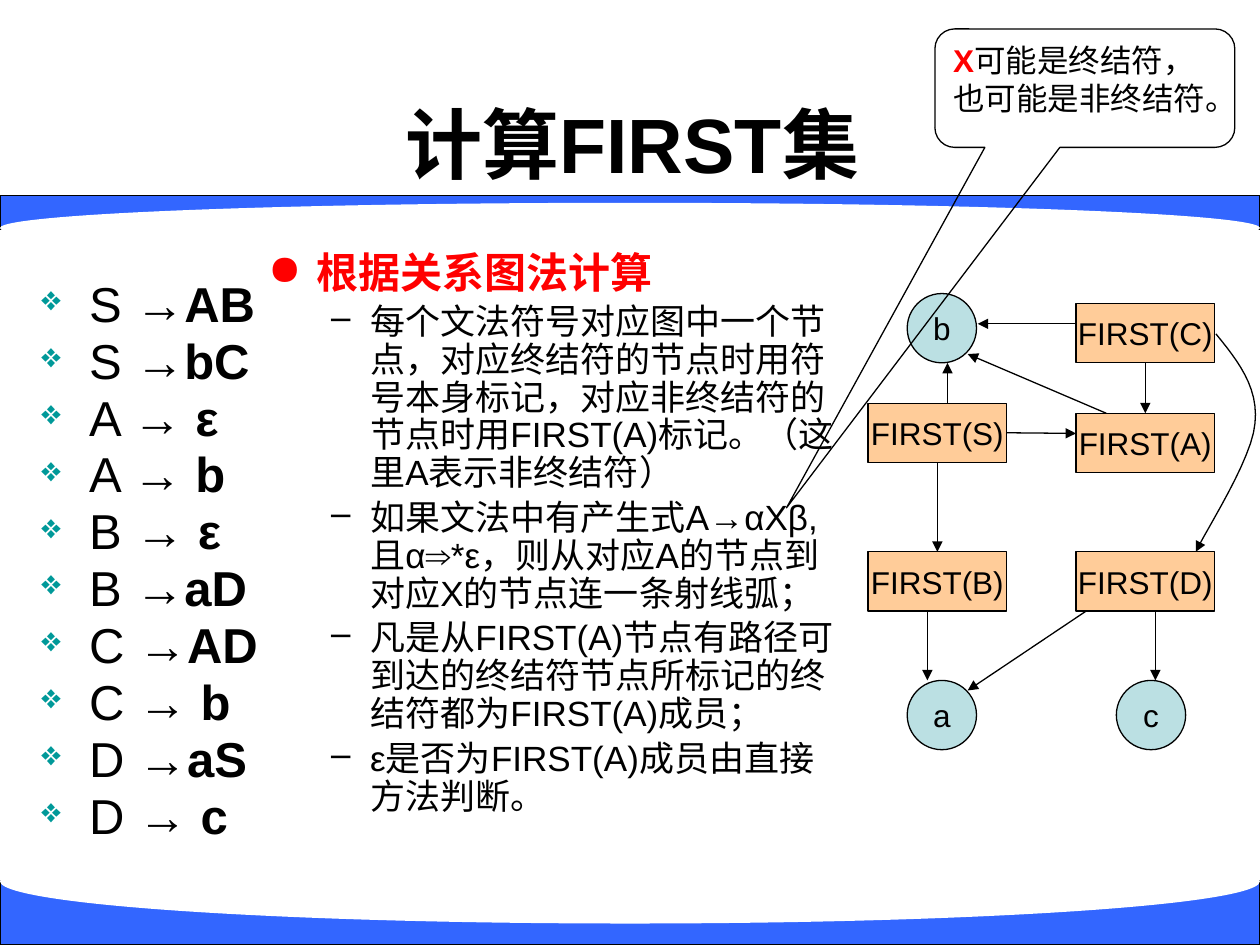
"""Build the slide on computing FIRST sets with a relation graph."""
from pptx import Presentation
from pptx.dml.color import RGBColor
from pptx.enum.shapes import MSO_CONNECTOR, MSO_SHAPE
from pptx.enum.text import MSO_ANCHOR, MSO_AUTO_SIZE, PP_ALIGN
from pptx.oxml.ns import qn
from pptx.util import Inches, Pt
from lxml import etree

RECT, OVAL = MSO_SHAPE.RECTANGLE, MSO_SHAPE.OVAL
CALLOUT = MSO_SHAPE.ROUNDED_RECTANGULAR_CALLOUT
STRAIGHT = MSO_CONNECTOR.STRAIGHT
CENTER, LEFT = PP_ALIGN.CENTER, PP_ALIGN.LEFT
MIDDLE, TOP = MSO_ANCHOR.MIDDLE, MSO_ANCHOR.TOP
FIXED = MSO_AUTO_SIZE.NONE

THEME = {
    "font": "Arial", "line": 0.75,
    "black": "000000", "white": "FFFFFF", "red": "FF0000", "band": "3366FF",
    "terminal": "BBE0E3", "first": "FFCC99", "bullet": "009999",
    "title": 44, "rule": 28, "heading": 24, "step": 20, "label": 18,
}

TITLE = "计算FIRST集"
HEADING = "根据关系图法计算"
STEPS = [
    "每个文法符号对应图中一个节点，对应终结符的节点时用符号本身标记，"
    "对应非终结符的节点时用FIRST(A)标记。（这里A表示非终结符）",
    "如果文法中有产生式A→αXβ,且α⇒*ε，则从对应A的节点到对应X的节点连一条射线弧；",
    "凡是从FIRST(A)节点有路径可到达的终结符节点所标记的终结符都为FIRST(A)成员；",
    "ε是否为FIRST(A)成员由直接方法判断。",
]
RULES = [
    ("S", "→AB"), ("S", "→bC"), ("A", "→ ε"), ("A", "→ b"), ("B", "→ ε"),
    ("B", "→aD"), ("C", "→AD"), ("C", "→ b"), ("D", "→aS"), ("D", "→ c"),
]
NOTE = [("X", "red", True), ("可能是终结符，也可能是非终结符。", "black", False)]

BANDS = [
    (RECT, "band", 1.55, 0.27), (OVAL, "white", 1.61, 0.4),
    (RECT, "band", 6.99, 0.51), (OVAL, "white", 6.66, 0.67),
]
TERMINALS = {"b": (7.2, 2.33), "c": (8.86, 5.4), "a": (7.2, 5.4)}
FIRSTS = {"S": (6.89, 3.2), "B": (6.89, 4.38), "D": (8.54, 4.38),
          "A": (8.54, 3.28), "C": (8.54, 2.41)}
TERMINAL_SIZE, FIRST_SIZE = (0.55, 0.55), (1.1, 0.47)
ARROWS = [
    ((9.17, 4.85), (9.17, 5.4), None, None),
    ((8.62, 4.85), (7.68, 5.48), None, None),
    ((7.36, 4.85), (7.36, 5.4), None, None),
    ((7.44, 3.67), (7.44, 4.38), ("S", 2), ("B", 0)),
    ((7.99, 3.44), (8.54, 3.44), ("S", 3), None),
    ((7.52, 3.2), (7.52, 2.88), None, None),
    ((9.1, 2.88), (9.1, 3.28), ("C", 2), ("A", 0)),
    ((8.54, 2.57), (7.76, 2.57), None, None),
    ((8.78, 3.28), (7.68, 2.81), None, None),
]
ARC = [
    ((9.65, 2.65), (9.82, 2.86), (9.99, 3.07), (9.96, 3.36)),
    ((9.96, 3.36), (9.94, 3.64), (9.57, 4.21), (9.49, 4.38)),
]
ARC_STEPS = 12


def color(name):
    return RGBColor.from_string(THEME[name])


def set_font(font, size, ink="black", bold=False):
    font.name, font.size, font.bold = THEME["font"], Pt(THEME[size]), bold
    font.color.rgb = color(ink)


def set_line(line):
    line.color.rgb = color("black")
    line.width = Pt(THEME["line"])


def add_arrowhead(line):
    etree.SubElement(line._get_or_add_ln(), qn("a:tailEnd"), type="triangle")


def add_bullet(para, char, indent, hang, ink=None, percent=None):
    properties = para._p.get_or_add_pPr()
    properties.set("marL", str(Inches(indent)))
    properties.set("indent", str(Inches(-hang)))
    if ink:
        holder = etree.SubElement(properties, qn("a:buClr"))
        etree.SubElement(holder, qn("a:srgbClr"), val=THEME[ink])
    if percent:
        etree.SubElement(properties, qn("a:buSzPct"), val=str(percent * 1000))
    etree.SubElement(properties, qn("a:buChar"), char=char)


def add_shape(page, kind, at, size, fill=None, outline=True):
    shape = page.shapes.add_shape(kind, *map(Inches, at + size))
    shape.shadow.inherit = False
    if fill:
        shape.fill.solid()
        shape.fill.fore_color.rgb = color(fill)
    else:
        shape.fill.background()
    if outline:
        set_line(shape.line)
    else:
        shape.line.fill.background()
    return shape


def add_node(page, kind, at, size, fill, label):
    node = add_shape(page, kind, at, size, fill)
    frame = node.text_frame
    frame.word_wrap, frame.vertical_anchor = False, MIDDLE
    para = frame.paragraphs[0]
    para.text, para.alignment = label, CENTER
    set_font(para.font, "label")
    return node


def add_list(page, at, size, count):
    frame = page.shapes.add_textbox(*map(Inches, at + size)).text_frame
    frame.word_wrap = True
    return [frame.paragraphs[0]] + [frame.add_paragraph() for _ in range(count - 1)]


def space_list(paras, line_spacing, size):
    for index, para in enumerate(paras):
        para.line_spacing = line_spacing
        para.space_before = Pt(THEME[size] * 0.2 if index else 0)


def add_arrow(page, firsts, start, end, source, target):
    arrow = page.shapes.add_connector(STRAIGHT, *map(Inches, start + end))
    if source:
        arrow.begin_connect(firsts[source[0]], source[1])
    if target:
        arrow.end_connect(firsts[target[0]], target[1])
    set_line(arrow.line)
    add_arrowhead(arrow.line)
    etree.SubElement(arrow._element.spPr, qn("a:effectLst"))


def curve_point(curve, t):
    weights = ((1 - t) ** 3, 3 * t * (1 - t) ** 2, 3 * t * t * (1 - t), t ** 3)
    return tuple(Inches(sum(w * p[axis] for w, p in zip(weights, curve)))
                 for axis in (0, 1))


def add_arc(page):
    points = [curve_point(curve, step / ARC_STEPS)
              for curve in ARC for step in range(1, ARC_STEPS + 1)]
    builder = page.shapes.build_freeform(*map(Inches, ARC[0][0]))
    builder.add_line_segments(points, close=False)
    arc = builder.convert_to_shape()
    arc.shadow.inherit = False
    arc.fill.background()
    set_line(arc.line)
    add_arrowhead(arc.line)


def add_title(page):
    title = page.shapes.title
    title.left, title.top, title.width, title.height = map(Inches, (0.35, 0.76, 9.34, 0.74))
    frame = title.text_frame
    frame.auto_size, frame.vertical_anchor = FIXED, MIDDLE
    para = frame.paragraphs[0]
    para.text, para.alignment = TITLE, CENTER
    set_font(para.font, "title", bold=True)


def add_method(page):
    heading, *steps = paras = add_list(page, (2.03, 1.95), (4.69, 4.25), len(STEPS) + 1)
    heading.text = HEADING
    add_bullet(heading, "●", 0.38, 0.38)
    set_font(heading.font, "heading", "red", True)
    for para, text in zip(steps, STEPS):
        para.text, para.level = text, 1
        add_bullet(para, "–", 0.81, 0.31)
        set_font(para.font, "step")
    space_list(paras, 0.9, "step")


def add_rules(page):
    paras = add_list(page, (0.23, 2.21), (2.19, 4.69), len(RULES))
    for para, (symbol, production) in zip(paras, RULES):
        add_bullet(para, "❖", 0.38, 0.38, "bullet", 70)
        set_font(para.font, "rule")
        para.add_run().text = symbol + " "
        span = para.add_run()
        span.text, span.font.bold = production, True
    space_list(paras, 0.8, "rule")


def add_note(page):
    note = add_shape(page, CALLOUT, (7.42, 0.23), (2.38, 0.94))
    for index, value in enumerate((-0.995, 3.543, 0.167)):
        note.adjustments[index] = value
    frame = note.text_frame
    frame.word_wrap, frame.vertical_anchor = True, TOP
    para = frame.paragraphs[0]
    para.alignment = LEFT
    for text, ink, bold in NOTE:
        span = para.add_run()
        span.text = text
        set_font(span.font, "label", ink, bold)


def main():
    deck = Presentation()
    deck.slide_width, deck.slide_height = Inches(10), Inches(7.5)
    page = deck.slides.add_slide(deck.slide_layouts[5])
    for kind, fill, top, height in BANDS:
        add_shape(page, kind, (0, top), (10, height), fill, kind == RECT)
    add_title(page)
    add_method(page)
    for label, at in TERMINALS.items():
        add_node(page, OVAL, at, TERMINAL_SIZE, "terminal", label)
    firsts = {symbol: add_node(page, RECT, at, FIRST_SIZE, "first", f"FIRST({symbol})")
              for symbol, at in FIRSTS.items()}
    for arrow in ARROWS:
        add_arrow(page, firsts, *arrow)
    add_arc(page)
    add_rules(page)
    add_note(page)
    deck.save("out.pptx")


if __name__ == "__main__":
    main()
